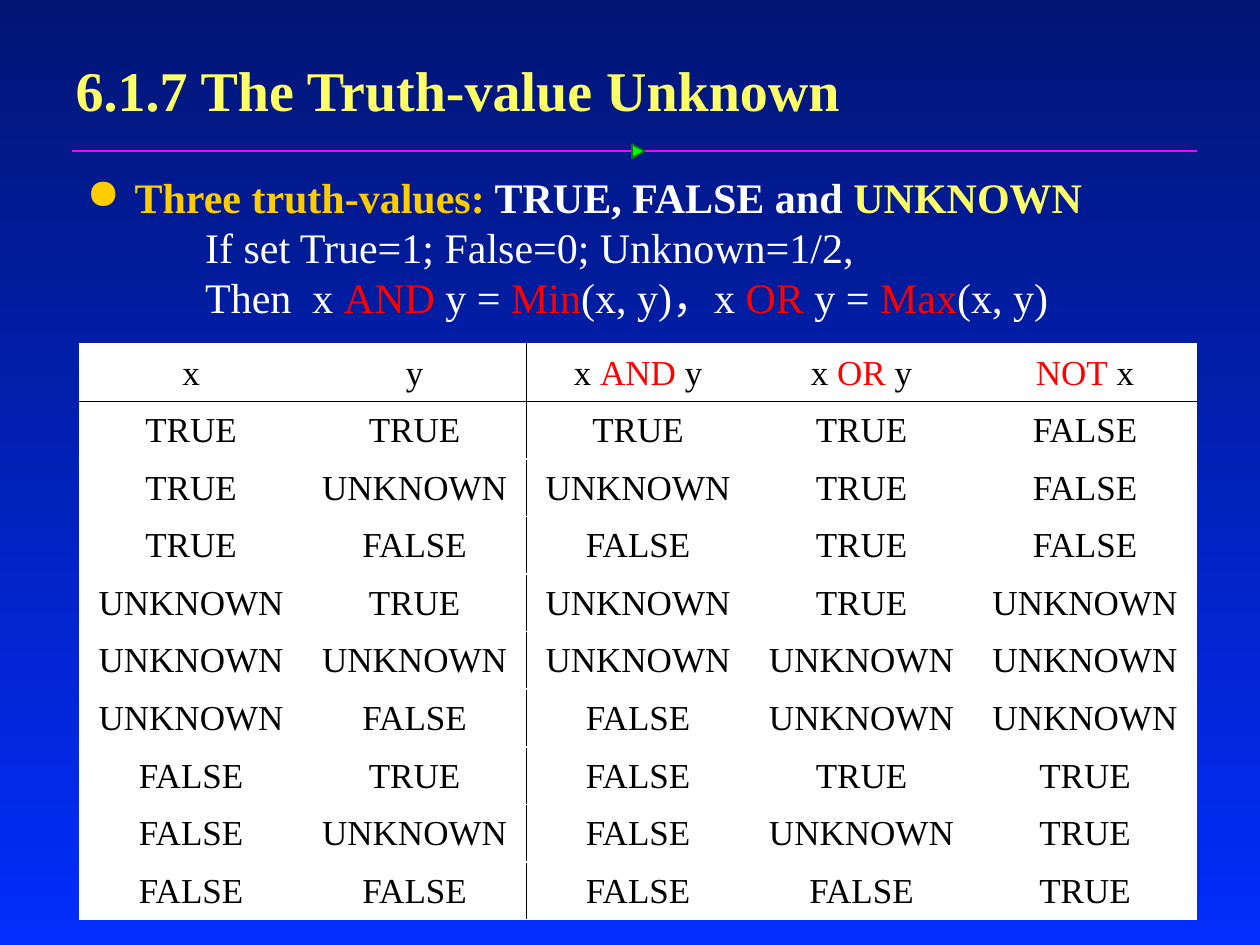
from itertools import product

from lxml.etree import SubElement
from pptx import Presentation
from pptx.dml.color import RGBColor
from pptx.enum.shapes import MSO_CONNECTOR, MSO_SHAPE
from pptx.enum.text import MSO_ANCHOR, MSO_AUTO_SIZE, PP_ALIGN
from pptx.oxml import parse_xml
from pptx.oxml.ns import nsdecls, qn
from pptx.util import Inches, Pt

NAVY = RGBColor(0x01, 0x15, 0x75)
BLUE = RGBColor(0x02, 0x2D, 0xFC)
YELLOW = RGBColor(0xFF, 0xFF, 0x66)
GOLD = RGBColor(0xFF, 0xCC, 0x00)
WHITE = RGBColor(0xFF, 0xFF, 0xFF)
BLACK = RGBColor(0x00, 0x00, 0x00)
RED = RGBColor(0xFF, 0x00, 0x00)
MAGENTA = RGBColor(0xFF, 0x01, 0xFF)
GREEN = RGBColor(0x00, 0xFF, 0x00)
DARK_GREEN = RGBColor(0x03, 0x7C, 0x03)

TRUTH_NAMES = {1: "TRUE", 0.5: "UNKNOWN", 0: "FALSE"}


class TruthSlide:
    font_name = "Times New Roman"

    def __init__(self, presentation):
        self.slide = presentation.slides.add_slide(presentation.slide_layouts[5])
        self.shapes = self.slide.shapes

    def background(self, top, bottom):
        fill = self.slide.background.fill
        fill.gradient()
        fill.gradient_angle = 270
        for stop, color, position in zip(fill.gradient_stops, (top, bottom), (0, 1)):
            stop.color.rgb = color
            stop.position = position

    def add_runs(self, paragraph, runs, size, bold=False):
        paragraph.font.name = self.font_name
        paragraph.font.size = Pt(size)
        paragraph.font.bold = bold
        for text, color in runs:
            run = paragraph.add_run()
            run.text = text
            run.font.color.rgb = color

    def title(self, text, left, top, width, height):
        heading = self.shapes.title
        heading.left, heading.top = Inches(left), Inches(top)
        heading.width, heading.height = Inches(width), Inches(height)
        frame = heading.text_frame
        frame.auto_size = MSO_AUTO_SIZE.NONE
        frame.vertical_anchor = MSO_ANCHOR.MIDDLE
        frame.paragraphs[0].alignment = PP_ALIGN.LEFT
        self.add_runs(frame.paragraphs[0], [(text, YELLOW)], 32, True)

    def divider(self, left, right, y):
        rule = self.shapes.add_connector(
            MSO_CONNECTOR.STRAIGHT, Inches(left), Inches(y), Inches(right), Inches(y))
        rule.line.color.rgb = MAGENTA
        rule.line.width = Pt(1)
        SubElement(rule._element.spPr, qn("a:effectLst"))

    def marker(self, left, top, width, height):
        arrow = self.shapes.add_shape(
            MSO_SHAPE.ISOSCELES_TRIANGLE,
            Inches(left), Inches(top), Inches(width), Inches(height))
        arrow.rotation = 90
        arrow.shadow.inherit = False
        arrow.fill.solid()
        arrow.fill.fore_color.rgb = GREEN
        arrow.line.color.rgb = DARK_GREEN
        arrow.line.width = Pt(1)

    def outline(self, heading, details, left, top, width, height):
        frame = self.shapes.add_textbox(
            Inches(left), Inches(top), Inches(width), Inches(height)).text_frame
        frame.word_wrap = True
        for index, runs in enumerate([heading, *details]):
            is_heading = index == 0
            paragraph = frame.paragraphs[0] if is_heading else frame.add_paragraph()
            paragraph.level = 0 if is_heading else 1
            paragraph.line_spacing = 0.8
            paragraph.space_before = Pt(5.5)
            properties = paragraph._p.get_or_add_pPr()
            properties.set("marL", str(Inches(0.38 if is_heading else 0.94)))
            properties.set("indent", str(Inches(-0.38 if is_heading else 0)))
            if is_heading:
                SubElement(properties, qn("a:buChar"), char="●")
            else:
                SubElement(properties, qn("a:buNone"))
            self.add_runs(paragraph, runs, 24, is_heading)

    def cell_borders(self, cell, colors):
        properties = cell._tc.get_or_add_tcPr()
        for index, (side, color) in enumerate(zip("LRTB", colors)):
            properties.insert(index, parse_xml(
                f'<a:ln{side} {nsdecls("a")} w="{Pt(1)}"><a:solidFill>'
                f'<a:srgbClr val="{color}"/></a:solidFill></a:ln{side}>'))

    def truth_table(self, rows, input_count, left, top, width, height):
        table = self.shapes.add_table(
            len(rows), len(rows[0]),
            Inches(left), Inches(top), Inches(width), Inches(height)).table
        table.first_row = table.horz_banding = False
        for r, row in enumerate(rows):
            for c, runs in enumerate(row):
                cell = table.cell(r, c)
                cell.margin_left = cell.margin_right = cell.margin_top = Inches(0.01)
                cell.margin_bottom = 0
                cell.vertical_anchor = MSO_ANCHOR.MIDDLE
                cell.fill.solid()
                cell.fill.fore_color.rgb = WHITE
                dark_sides = (c == input_count, c == input_count - 1, r == 1, r == 0)
                self.cell_borders(cell, [BLACK if dark else WHITE for dark in dark_sides])
                paragraph = cell.text_frame.paragraphs[0]
                paragraph.alignment = PP_ALIGN.CENTER
                self.add_runs(paragraph, runs, 20)


def truth_rows():
    header = [
        [("x", BLACK)],
        [("y", BLACK)],
        [("x ", BLACK), ("AND", RED), (" y", BLACK)],
        [("x ", BLACK), ("OR", RED), (" y", BLACK)],
        [("NOT", RED), (" x", BLACK)],
    ]
    values = [(x, y, min(x, y), max(x, y), 1 - x)
              for x, y in product(TRUTH_NAMES, repeat=2)]
    return [header] + [[[(TRUTH_NAMES[value], BLACK)] for value in row] for row in values]


def main():
    presentation = Presentation()
    presentation.slide_width, presentation.slide_height = Inches(10), Inches(7.5)
    page = TruthSlide(presentation)
    page.background(NAVY, BLUE)
    page.title("6.1.7 The Truth-value Unknown", 0.5, 0.33, 7.58, 0.75)
    page.divider(0.57, 9.5, 1.2)
    page.marker(5.01, 1.15, 0.11, 0.1)
    page.outline(
        [("Three truth-values:", GOLD), (" TRUE, FALSE and ", WHITE), ("UNKNOWN", YELLOW)],
        [
            [("If set True=1; False=0; Unknown=1/2,", WHITE)],
            [("Then  x ", WHITE), ("AND", RED), (" y = ", WHITE), ("Min", RED),
             ("(x, y)，x ", WHITE), ("OR", RED), (" y = ", WHITE), ("Max", RED),
             ("(x, y)", WHITE)],
        ],
        0.59, 1.39, 8.43, 2.12)
    page.truth_table(truth_rows(), 2, 0.63, 2.73, 8.87, 4.57)
    presentation.save("out.pptx")


if __name__ == "__main__":
    main()
